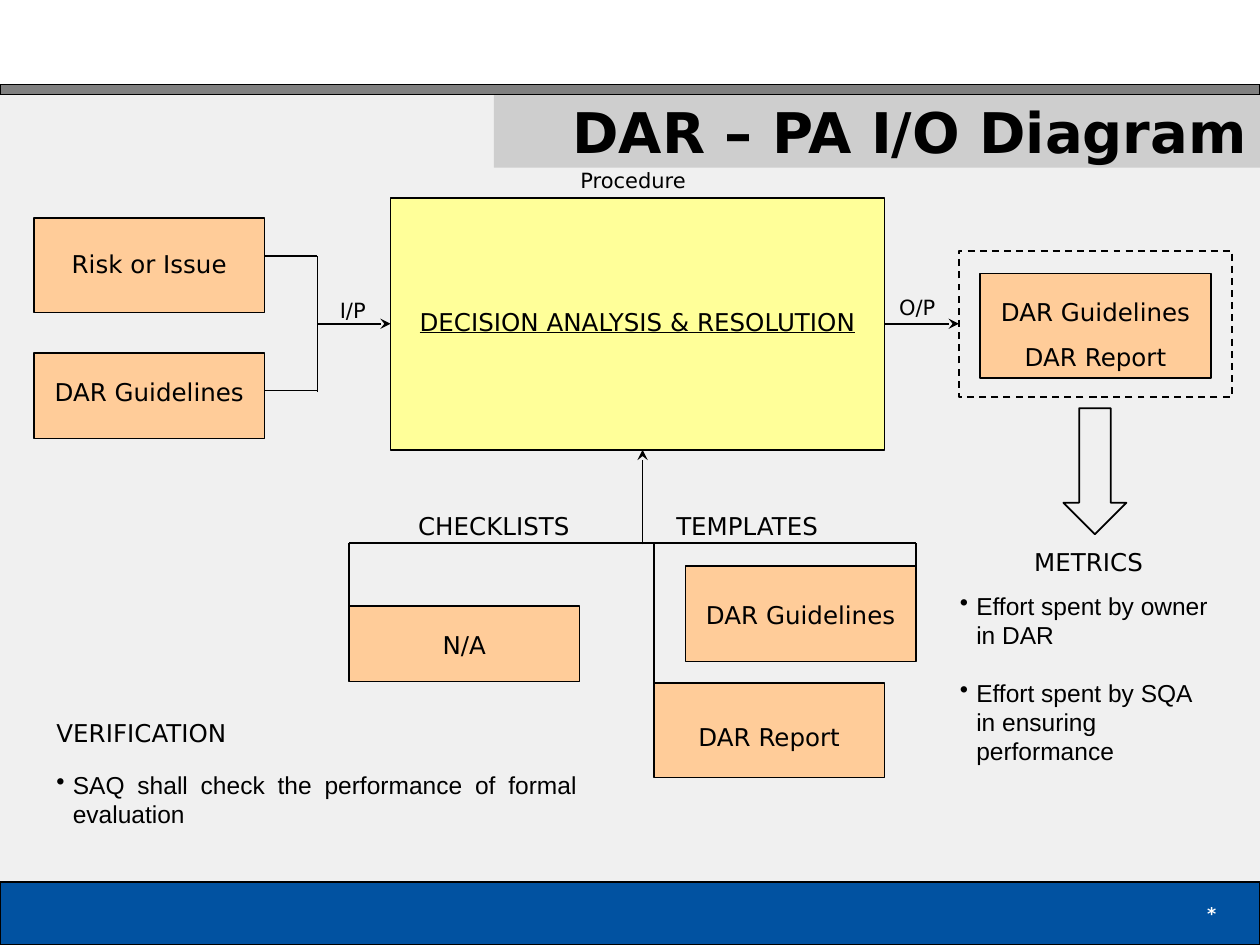
"""Build the DAR process area input/output diagram slide."""
from dataclasses import dataclass

import lxml.etree
import pptx
import pptx.dml.color
import pptx.enum.dml
import pptx.enum.shapes
import pptx.enum.text
import pptx.oxml.ns
import pptx.util

Inches, Pt = pptx.util.Inches, pptx.util.Pt
ALIGN = pptx.enum.text.PP_ALIGN
ANCHOR = pptx.enum.text.MSO_ANCHOR
SHAPE = pptx.enum.shapes.MSO_SHAPE
qn = pptx.oxml.ns.qn


@dataclass(frozen=True)
class Theme:
    page: str = "F0F0F0"
    footer: str = "0152A1"
    band: str = "CECECE"
    rule: str = "808080"
    process: str = "FFFF99"
    item: str = "FFCC99"
    light: str = "FFFFFF"
    ink: str = "000000"
    font: str = "DejaVu Sans"
    list_font: str = "Arial"
    title: int = 32
    body: int = 14
    small: int = 12
    tiny: int = 10


def rgb(value):
    return pptx.dml.color.RGBColor.from_string(value)


def write_text(tf, text, *, font, size, color, bold=False, underline=False,
               align=ALIGN.CENTER, anchor=ANCHOR.TOP, gap=0, bullet=False):
    tf.word_wrap = True
    tf.vertical_anchor = anchor
    for i, line in enumerate(text.split("\n")):
        p = tf.paragraphs[0] if i == 0 else tf.add_paragraph()
        p.alignment = align
        if i:
            p.space_before = Pt(gap)
        if bullet:
            pPr = p._p.get_or_add_pPr()
            pPr.set("marL", str(Inches(0.13)))
            pPr.set("indent", str(-Inches(0.13)))
            lxml.etree.SubElement(pPr, qn("a:buChar")).set("char", "•")
        r = p.add_run()
        r.text = line
        r.font.name, r.font.size = font, Pt(size)
        r.font.bold, r.font.underline = bold, underline
        r.font.color.rgb = rgb(color)


class Diagram:
    def __init__(self, slide, theme):
        self.slide, self.theme = slide, theme
        fill = slide.background.fill
        fill.solid()
        fill.fore_color.rgb = rgb(theme.page)

    def shape(self, x, y, w, h, fill=None, line=1, dash=False, kind=SHAPE.RECTANGLE):
        sp = self.slide.shapes.add_shape(kind, Inches(x), Inches(y), Inches(w), Inches(h))
        sp.shadow.inherit = False
        if fill:
            sp.fill.solid()
            sp.fill.fore_color.rgb = rgb(fill)
        else:
            sp.fill.background()
        if line:
            sp.line.color.rgb = rgb(self.theme.ink)
            sp.line.width = Pt(line)
            if dash:
                sp.line.dash_style = pptx.enum.dml.MSO_LINE.DASH
        else:
            sp.line.fill.background()
        return sp

    def item(self, x, y, h, text, top):
        sp = self.shape(x, y, 1.83, h, self.theme.item)
        sp.text_frame.margin_top = Inches(top)
        write_text(sp.text_frame, text, font=self.theme.font, size=self.theme.body,
                   color=self.theme.ink, gap=8.8)

    def label(self, x, y, w, h, text, **style):
        sp = self.slide.shapes.add_textbox(Inches(x), Inches(y), Inches(w), Inches(h))
        base = dict(font=self.theme.font, size=self.theme.body, color=self.theme.ink)
        write_text(sp.text_frame, text, **{**base, **style})

    def bullets(self, x, y, w, h, text, align=ALIGN.LEFT):
        self.label(x, y, w, h, text, font=self.theme.list_font, align=align,
                   gap=16, bullet=True)

    def line(self, x1, y1, x2, y2, arrow=False, begin=None, end=None):
        cxn = self.slide.shapes.add_connector(
            pptx.enum.shapes.MSO_CONNECTOR.STRAIGHT,
            Inches(x1), Inches(y1), Inches(x2), Inches(y2))
        if begin:
            cxn.begin_connect(*begin)
        if end:
            cxn.end_connect(*end)
        cxn.line.color.rgb = rgb(self.theme.ink)
        cxn.line.width = Pt(1)
        if arrow:
            ln = cxn.line._get_or_add_ln()
            lxml.etree.SubElement(ln, qn("a:tailEnd")).set("type", "stealth")
        lxml.etree.SubElement(cxn._element.spPr, qn("a:effectLst"))


def draw_frame(d):
    t = d.theme
    d.shape(0, 7, 10, 0.5, t.footer, line=0.75)
    d.label(7.67, 7, 2.08, 0.5, "*", size=t.tiny, color=t.light, bold=True,
            align=ALIGN.RIGHT, anchor=ANCHOR.MIDDLE)
    title = d.shape(3.92, 0.75, 6.08, 0.58, t.band, line=0)
    write_text(title.text_frame, "DAR – PA I/O Diagram", font=t.font, size=t.title,
               color=t.ink, bold=True, align=ALIGN.RIGHT, anchor=ANCHOR.MIDDLE)
    d.shape(0, 0, 10, 0.67, t.light, line=0)
    d.shape(0, 0.67, 10, 0.08, t.rule, line=0.75)


def draw_flow(d):
    t = d.theme
    d.item(0.27, 1.73, 0.75, "Risk or Issue", top=0.25)
    d.item(0.27, 2.8, 0.68, "DAR Guidelines", top=0.19)
    for y in (2.03, 3.1):
        d.line(2.1, y, 2.52, y)
    d.line(2.52, 2.03, 2.52, 3.11)

    process = d.shape(3.1, 1.57, 3.92, 2, t.process)
    d.label(3.06, 2.39, 4, 0.34, "DECISION ANALYSIS & RESOLUTION", underline=True)
    d.item(7.78, 2.17, 0.83, "DAR Guidelines\nDAR Report", top=0.19)
    outputs = d.shape(7.61, 1.99, 2.17, 1.16, dash=True)
    d.line(2.52, 2.57, 3.1, 2.57, arrow=True, end=(process, 1))
    d.line(7.02, 2.57, 7.61, 2.57, arrow=True, begin=(process, 3), end=(outputs, 1))
    for x, y, w, text in ((2.55, 2.31, 0.5, "I/P"), (6.99, 2.29, 0.58, "O/P"),
                          (4.4, 1.28, 1.25, "Procedure")):
        d.label(x, y, w, 0.3, text, size=t.small)


def draw_support(d):
    d.line(2.77, 4.31, 7.27, 4.31)
    d.line(5.1, 4.32, 5.1, 3.57, arrow=True)
    d.item(2.77, 4.81, 0.6, "N/A", top=0.19)
    d.item(5.44, 4.49, 0.76, "DAR Guidelines", top=0.27)
    d.item(5.19, 5.42, 0.75, "DAR Report", top=0.31)
    for x, bottom in ((2.77, 4.98), (7.27, 4.98), (5.19, 5.5)):
        d.line(x, 4.31, x, bottom)
    d.label(2.88, 4.01, 2.08, 0.34, "CHECKLISTS")
    d.label(5.09, 4.01, 1.68, 0.34, "TEMPLATES")


def draw_notes(d):
    d.shape(8.44, 3.24, 0.5, 1, kind=SHAPE.DOWN_ARROW)
    d.label(7.85, 4.29, 1.58, 0.34, "METRICS")
    d.bullets(7.52, 4.64, 2.24, 1.54,
              "Effort spent by owner in DAR\nEffort spent by SQA in ensuring performance")
    d.label(0.35, 5.65, 2, 0.34, "VERIFICATION", align=ALIGN.LEFT)
    d.bullets(0.35, 6.06, 4.33, 0.57,
              "SAQ shall check the performance of formal evaluation", align=ALIGN.JUSTIFY)


def main():
    prs = pptx.Presentation()
    prs.slide_width, prs.slide_height = Inches(10), Inches(7.5)
    d = Diagram(prs.slides.add_slide(prs.slide_layouts[6]), Theme())
    for draw in (draw_frame, draw_flow, draw_support, draw_notes):
        draw(d)
    prs.save("out.pptx")


if __name__ == "__main__":
    main()
